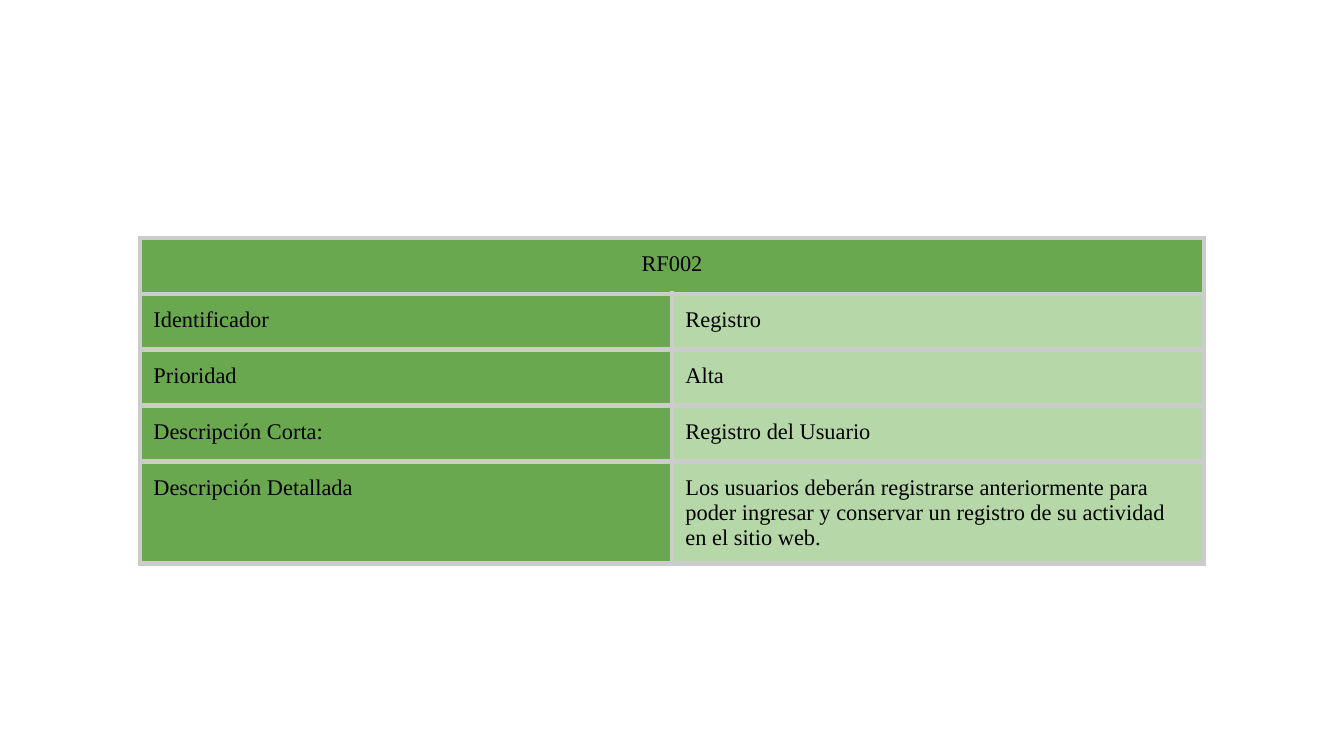
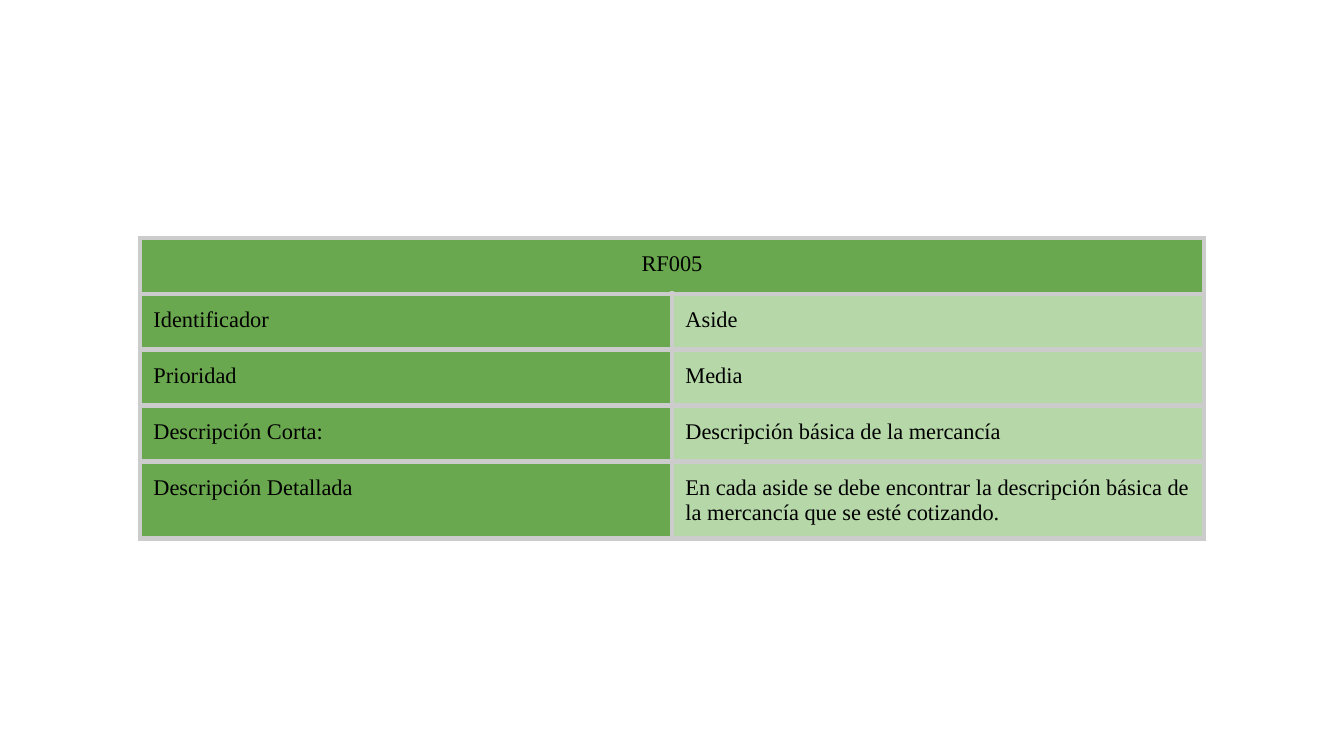
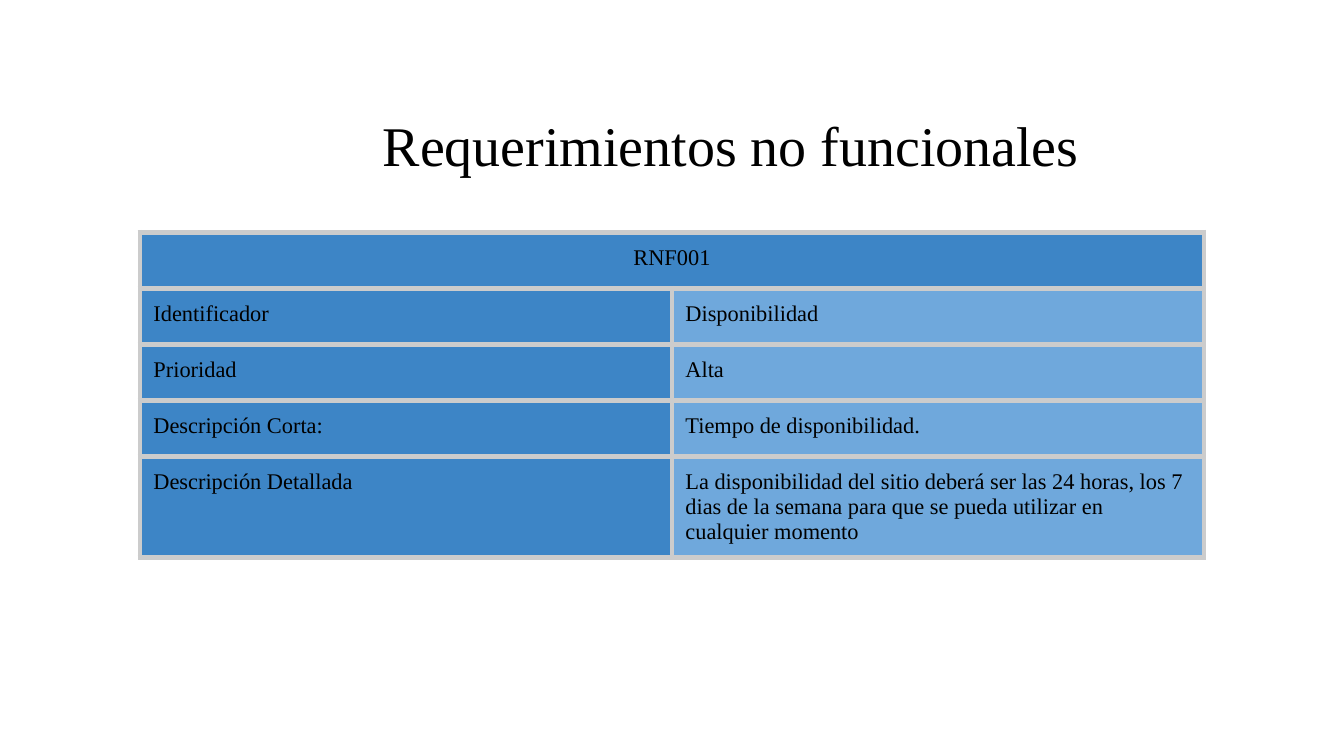
"""Build three requirement slides, each with a five-row specification table."""
from dataclasses import dataclass

from lxml import etree
from pptx import Presentation
from pptx.dml.color import RGBColor
from pptx.enum.text import MSO_AUTO_SIZE, PP_ALIGN
from pptx.oxml.ns import qn
from pptx.util import Pt

CENTER = PP_ALIGN.CENTER
GROW = MSO_AUTO_SIZE.SHAPE_TO_FIT_TEXT


@dataclass(frozen=True)
class Theme:
    font: str = "Times New Roman"
    text: str = "000000"
    border: str = "CCCCCC"
    functional: tuple = ("6AA84F", "B6D7A8")
    non_functional: tuple = ("3D85C6", "6FA8DC")
    title_size: int = 30
    cell_size: int = 12
    border_width: int = 3
    inset: float = 7.2


T = Theme()
LABELS = ["Identificador", "Prioridad", "Descripción Corta:", "Descripción Detallada"]
LEFT, COL_W, ROW_H = 75, 285, 30

REQUIREMENTS = [
    ("", "RF002", T.functional, 127.5, [
        "Registro", "Alta", "Registro del Usuario",
        "Los usuarios deberán registrarse anteriormente para poder ingresar y "
        "conservar un registro de su actividad en el sitio web."]),
    ("", "RF005", T.functional, 127.5, [
        "Aside", "Media", "Descripción básica de la mercancía",
        "En cada aside se debe encontrar la descripción básica de la mercancía "
        "que se esté cotizando."]),
    ("Requerimientos no funcionales", "RNF001", T.non_functional, 124.5, [
        "Disponibilidad", "Alta", "Tiempo de disponibilidad.",
        "La disponibilidad del sitio deberá ser las 24 horas, los 7 dias de la "
        "semana para que se pueda utilizar en cualquier momento"]),
]


def write(tf, text, size):
    tf.text = text
    tf.word_wrap = True
    p = tf.paragraphs[0]
    for r in p.runs:
        r.font.name = T.font
        r.font.size = Pt(size)
        r.font.color.rgb = RGBColor.from_string(T.text)
    return p


def add_borders(cell):
    tcPr = cell._tc.get_or_add_tcPr()
    for side in ("a:lnL", "a:lnR", "a:lnT", "a:lnB"):
        ln = etree.SubElement(tcPr, qn(side), w=str(Pt(T.border_width)))
        fill = etree.SubElement(ln, qn("a:solidFill"))
        etree.SubElement(fill, qn("a:srgbClr"), val=T.border)


prs = Presentation()
prs.slide_width, prs.slide_height = Pt(720), Pt(405)

for title, code, fills, top, values in REQUIREMENTS:
    s = prs.slides.add_slide(prs.slide_layouts[6])

    rows = [(code, "")] + list(zip(LABELS, values))
    frame = s.shapes.add_table(len(rows), 2, Pt(LEFT), Pt(top),
                               Pt(2 * COL_W), Pt(len(rows) * ROW_H))
    table = frame.table
    table.first_row = table.horz_banding = False
    for i, row in enumerate(rows):
        for j, text in enumerate(row):
            cell = table.cell(i, j)
            cell.margin_left = cell.margin_right = Pt(T.inset)
            cell.margin_top = cell.margin_bottom = Pt(T.inset)
            add_borders(cell)
            cell.fill.solid()
            cell.fill.fore_color.rgb = RGBColor.from_string(fills[j if i else 0])
            write(cell.text_frame, text, T.cell_size)
    table.cell(0, 0).merge(table.cell(0, 1))
    table.cell(0, 0).text_frame.paragraphs[0].alignment = CENTER

    if title:
        sp = s.shapes.add_textbox(Pt(126), Pt(52), Pt(468), Pt(51))
        tf = sp.text_frame
        tf.margin_left = tf.margin_right = Pt(T.inset)
        tf.margin_top = tf.margin_bottom = Pt(T.inset)
        p = write(tf, title, T.title_size)
        p._p.get_or_add_pPr().set("marL", str(Pt(72)))
        tf.auto_size = GROW

prs.save("out.pptx")
